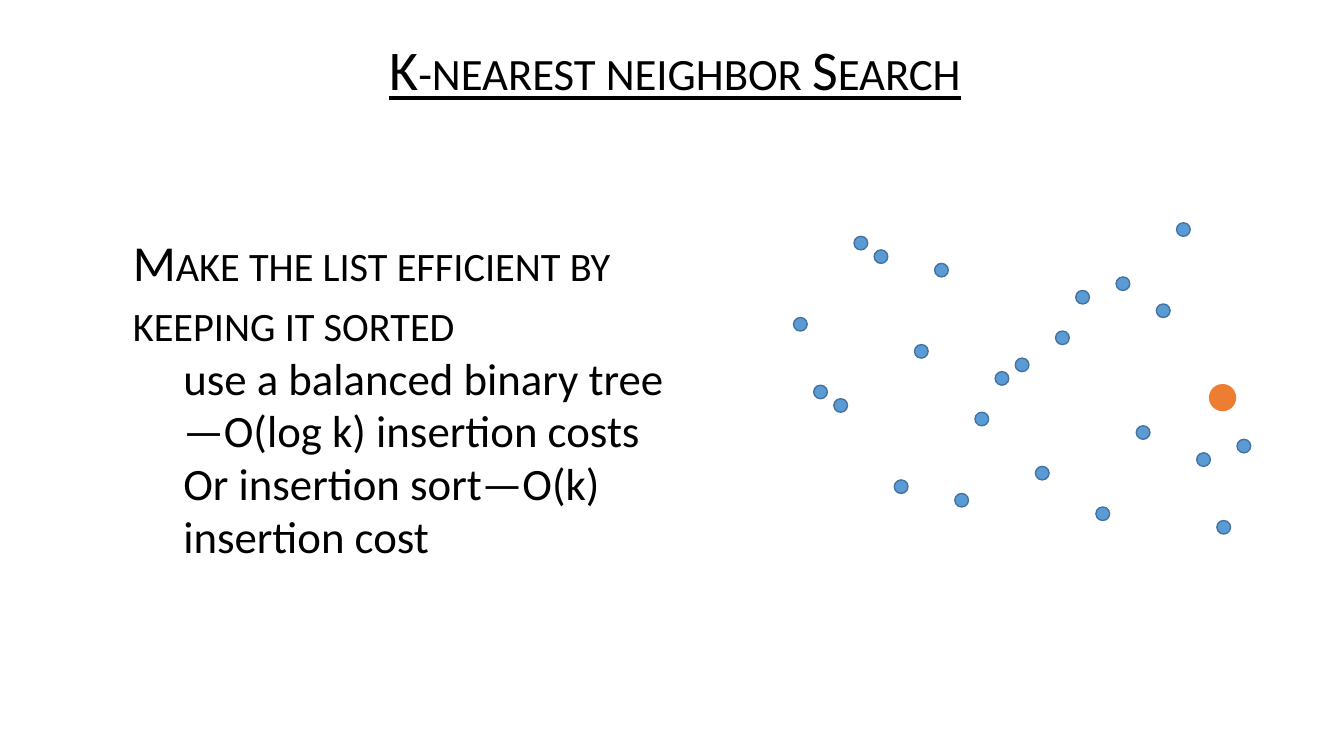
from dataclasses import dataclass

from pptx import Presentation
from pptx.dml.color import RGBColor
from pptx.enum.shapes import MSO_SHAPE as Shape
from pptx.enum.text import MSO_ANCHOR as Anchor, PP_ALIGN as Align
from pptx.shapes.shapetree import GroupShapes
from pptx.slide import Slide
from pptx.text.text import TextFrame
from pptx.util import Emu, Inches, Pt

WIDE, HIGH = Inches(13.33), Inches(7.5)
FONT = "Calibri"
BLACK, BLUE, NAVY, ORANGE = "000000", "5B9BD5", "43739E", "ED7D31"

# The scatter has one dot in each column; this lists the row of each.
ROWS = [7, 12, 13, 1, 2, 19, 9, 3, 20, 14, 11, 10,
        18, 8, 5, 21, 4, 15, 6, 0, 17, 22, 16]
LEFT, TOP = 59.04, 29.47
COL, ROW = 1.5, 1.79


@dataclass
class Box:
    """A frame in percent of the slide's width and height."""
    x: float
    y: float
    w: float
    h: float

    def place(self) -> tuple[Emu, Emu, Emu, Emu]:
        return (Emu(round(WIDE * self.x / 100)), Emu(round(HIGH * self.y / 100)),
                Emu(round(WIDE * self.w / 100)), Emu(round(HIGH * self.h / 100)))


@dataclass
class Dot:
    box: Box
    fill: str
    edge: str = ""


def paint(code: str) -> RGBColor:
    return RGBColor.from_string(code)


def add_frame(slide: Slide, box: Box) -> TextFrame:
    frame = slide.shapes.add_textbox(*box.place()).text_frame
    frame.word_wrap = True
    frame.vertical_anchor = Anchor.MIDDLE
    return frame


def write(frame: TextFrame, text: str, *, size: float, pitch: float,
          indent: float = 0, caps: bool = False, line: bool = False,
          align: Align = Align.LEFT) -> None:
    """Fill the frame's empty first paragraph, or append one."""
    para = frame.paragraphs[0]
    if para.runs:
        para = frame.add_paragraph()
    para.alignment, para.line_spacing = align, pitch
    para._p.get_or_add_pPr().set("marL", str(Inches(indent)))
    run = para.add_run()
    run.text = text
    font = run.font
    font.name, font.size, font.underline = FONT, Pt(size), line
    font.color.rgb = paint(BLACK)
    if caps:
        run._r.get_or_add_rPr().set("cap", "small")


def draw(shapes: GroupShapes, dot: Dot) -> None:
    oval = shapes.add_shape(Shape.OVAL, *dot.box.place())
    oval.shadow.inherit = False
    oval.fill.solid()
    oval.fill.fore_color.rgb = paint(dot.fill)
    if dot.edge:
        oval.line.color.rgb = paint(dot.edge)
        oval.line.width = Pt(1)
    else:
        oval.line.fill.background()


def main() -> None:
    deck = Presentation()
    deck.slide_width, deck.slide_height = WIDE, HIGH
    slide = deck.slides.add_slide(deck.slide_layouts[6])

    body = add_frame(slide, Box(5.4, 17.6, 47.71, 70.4))
    write(body, "Make the list efficient by keeping it sorted",
          size=36, pitch=0.98, indent=0.5, caps=True)
    for text in ("use a balanced binary tree—O(log k) insertion costs",
                 "Or insertion sort—O(k) insertion cost"):
        write(body, text, size=32, pitch=0.98, indent=1)

    title = add_frame(slide, Box(13.05, 3.87, 73.82, 11.33))
    write(title, "K-nearest neighbor Search", size=40, pitch=0.9,
          indent=0.07, caps=True, line=True, align=Align.CENTER)

    dots = [Dot(Box(LEFT + COL * col, TOP + ROW * row, 1.02, ROW), BLUE, NAVY)
            for col, row in enumerate(ROWS)]
    query = Dot(Box(89.95, 50.8, 2.03, 3.6), ORANGE)
    cloud = slide.shapes.add_group_shape().shapes
    for dot in [*dots, query]:
        draw(cloud, dot)

    deck.save("out.pptx")


if __name__ == "__main__":
    main()
